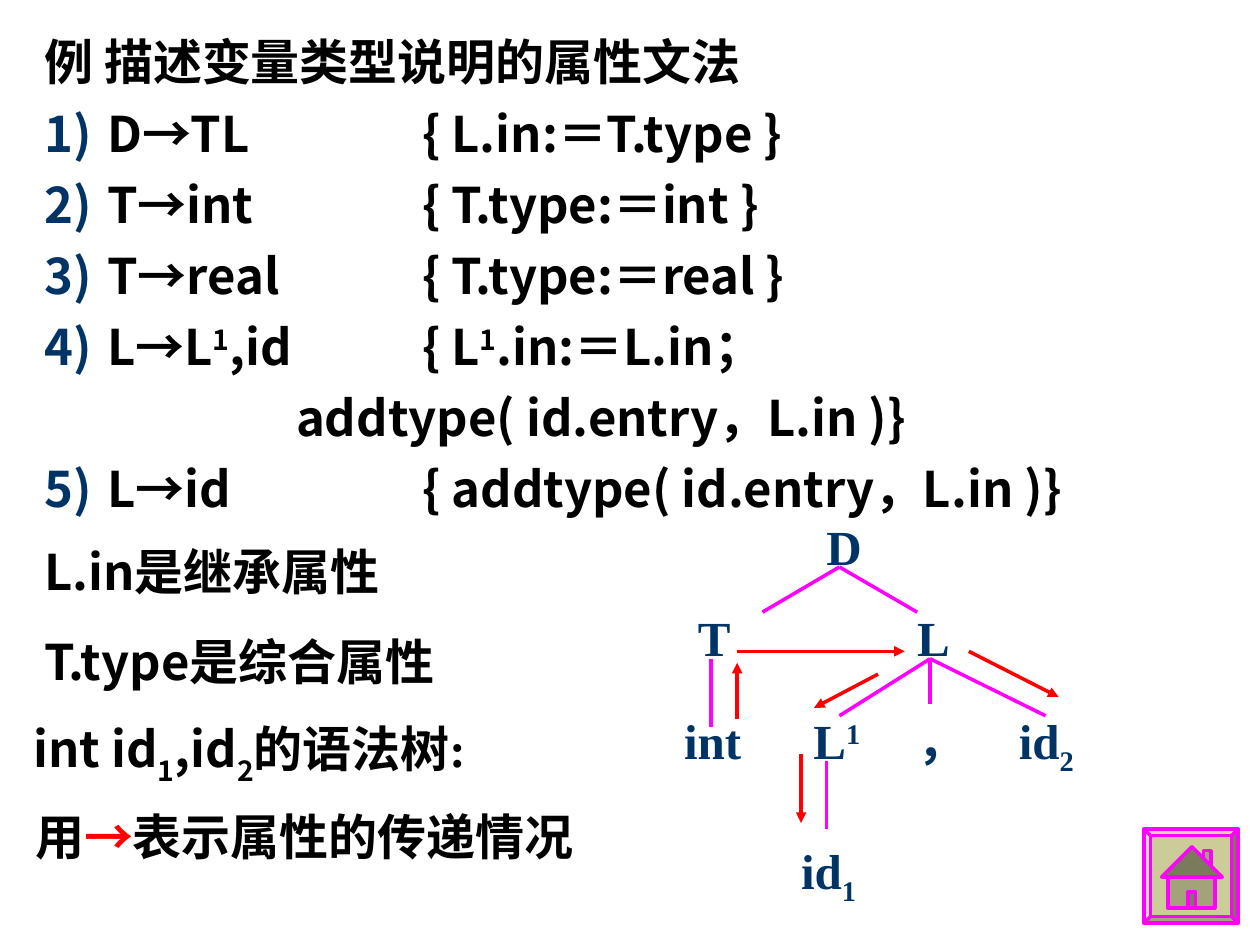
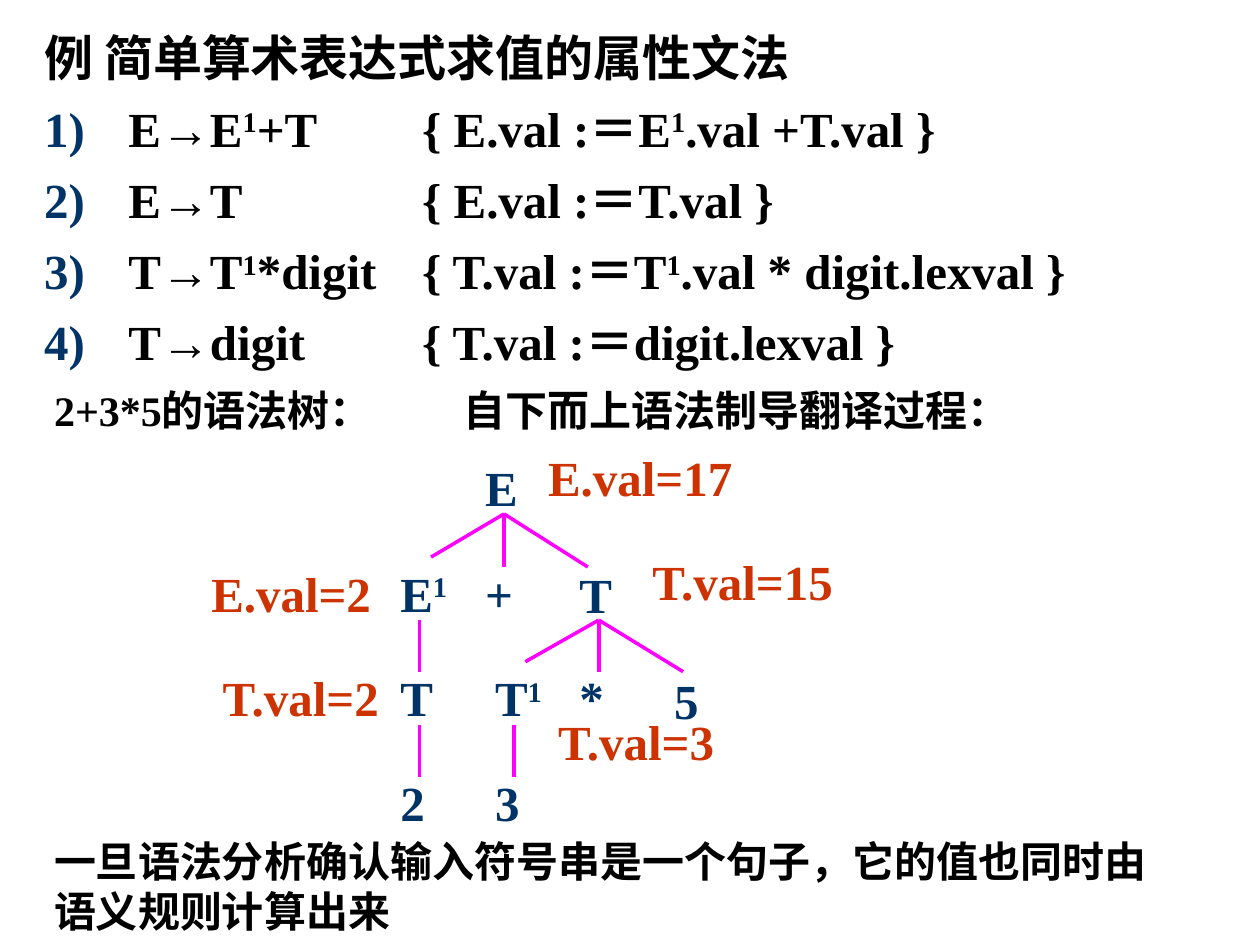
from lxml.etree import SubElement as Sub
from pptx import Presentation as Deck
from pptx.dml.color import RGBColor as RGB
from pptx.enum.shapes import MSO_CONNECTOR as Link, MSO_SHAPE as Kind
from pptx.enum.text import PP_ALIGN as Align
from pptx.oxml.ns import qn
from pptx.util import Cm, Pt

HUE = {"ink": "000000", "navy": "003366", "pink": "FF00FF", "red": "FF0000",
       "rust": "CC3300", "sand": "CCCC99", "shade": "A3A37A", "roof": "7A7A5C"}
SERIF, SANS = "Times New Roman", "Noto Sans CJK SC"
MARK = {"^": {"base": 30000}, "_": {"base": -25000}, "%": {"base": -30000},
        "!": {"hue": "red"}, "~": {"face": SERIF}}


class Pen:
    """Draws styled text, rules, trees and shapes on the current slide."""

    def __init__(self):
        self.deck = Deck()
        self.deck.slide_width, self.deck.slide_height = Cm(25.4), Cm(19.05)

    def page(self):
        self.shapes = self.deck.slides.add_slide(self.deck.slide_layouts[6]).shapes

    def frame(self, left, top, wide, high):
        box = self.shapes.add_textbox(Cm(left), Cm(top), Cm(wide), Cm(high))
        box.text_frame.word_wrap = True
        return box.text_frame

    def runs(self, para, text, size, hue, face):
        for part in text.split("|"):
            mark = MARK.get(part[0], {})
            run = para.add_run()
            run.text = part[1:] if mark else part
            form = {"size": Pt(size), "bold": True, "name": mark.get("face", face)}
            for key, val in form.items():
                setattr(run.font, key, val)
            run.font.color.rgb = RGB.from_string(HUE[mark.get("hue", hue)])
            props = run._r.get_or_add_rPr()
            Sub(props, qn("a:ea"), typeface=SANS)
            if "base" in mark:
                props.set("baseline", str(mark["base"]))

    def text(self, left, top, wide, high, *lines, size=28, hue="ink", face=SERIF, gap=17.5):
        frame = self.frame(left, top, wide, high)
        for num, line in enumerate(lines):
            para = frame.add_paragraph() if num else frame.paragraphs[0]
            if num:
                para.space_before = Pt(gap)
            self.runs(para, line, size, hue, face)

    def rules(self, top, wide, high, title, rows, hang, face, lead=None):
        frame = self.frame(0.64, top, wide, high)
        head = frame.paragraphs[0]
        head.line_spacing = lead
        self.runs(head, title, 28, "ink", SERIF)
        for start, row in rows:
            para = frame.add_paragraph()
            props = para._p.get_or_add_pPr()
            props.set("marL", str(Cm(hang)))
            props.set("indent", str(-Cm(hang)))
            if start:
                tint = Sub(props, qn("a:buClr"))
                Sub(tint, qn("a:srgbClr"), val=HUE["navy"])
                num = Sub(props, qn("a:buAutoNum"), type="arabicParenR")
                if start > 1:
                    num.set("startAt", str(start))
            tabs = Sub(props, qn("a:tabLst"))
            first = 1 if start else 0
            for step in range(first, first + 8):
                Sub(tabs, qn("a:tab"), pos=str(Cm(2.54 * step)), algn="l")
            for key, val in {"alignment": Align.JUSTIFY, "space_before": Pt(7)}.items():
                setattr(para, key, val)
            self.runs(para, row, 28, "ink", face)

    def nodes(self, items, hue="navy"):
        for left, top, wide, word in items:
            self.text(left, top, wide, 1.45, word, hue=hue)

    def line(self, start, end, hue="pink", tip=False):
        ends = [Cm(val) for val in (*start, *end)]
        link = self.shapes.add_connector(Link.STRAIGHT, *ends)
        link.line.width = Pt(2)
        link.line.color.rgb = RGB.from_string(HUE[hue])
        if tip:
            Sub(link.line._get_or_add_ln(), qn("a:tailEnd"), type="triangle")
        Sub(link._element.spPr, qn("a:effectLst"))

    def fans(self, tree):
        for apex, ends in tree:
            for end in ends:
                self.line(apex, end)

    def shape(self, kind, left, top, wide, high, hue):
        item = self.shapes.add_shape(kind, Cm(left), Cm(top), Cm(wide), Cm(high))
        item.shadow.inherit = False
        item.fill.solid()
        item.fill.fore_color.rgb = RGB.from_string(HUE[hue])
        item.line.color.rgb = RGB.from_string(HUE["pink"])
        item.line.width = Pt(2)
        return item

    def home(self):
        rim = self.shape(Kind.BEVEL, 23.06, 16.71, 1.9, 1.9, "sand")
        rim.adjustments[0] = 0.07
        self.shape(Kind.RECTANGLE, 24.26, 17.15, 0.15, 0.4, "shade")
        self.shape(Kind.ISOSCELES_TRIANGLE, 23.42, 17.07, 1.22, 0.61, "roof")
        self.shape(Kind.RECTANGLE, 23.55, 17.68, 0.94, 0.63, "shade")
        self.shape(Kind.RECTANGLE, 23.95, 17.98, 0.15, 0.33, "roof")


def types(pen):
    """Draws the grammar of variable types."""
    pen.page()
    rows = [(1, "D→TL\t\t{ L.in:＝T.type }"),
            (1, "T→int\t\t{ T.type:＝int }"),
            (1, "T→real\t\t{ T.type:＝real }"),
            (1, "L→L|^1|,id\t\t{ L|^1|.in:＝L.in；"),
            (0, "\t\t\t\taddtype( id.entry，L.in )}"),
            (5, "L→id\t\t{ addtype( id.entry，L.in )}")]
    pen.rules(0.64, 23.93, 9.93, "例 描述变量类型说明的属性文法", rows, 1.27, SANS, 0.9)
    pen.nodes([(16.41, 10.29, 1.3, "D"),
               (13.82, 12.12, 1.3, "T"), (18.24, 12.12, 1.3, "L"),
               (13.54, 14.2, 2.08, "int"), (16.15, 14.2, 1.85, "L|^1"),
               (18.24, 14.2, 1.3, "，"), (20.29, 14.2, 2.34, "id|_2"),
               (15.9, 16.81, 1.83, "id|_1")])
    pen.fans([((16.92, 11.43), [(15.37, 12.34), (18.49, 12.34)]),
              ((14.33, 13.28), [(14.33, 14.66)]),
              ((18.75, 13.28), [(16.92, 14.43), (18.75, 14.2), (21.08, 14.43)]),
              ((16.66, 15.34), [(16.66, 16.71)])])
    for start, end in [((14.86, 14.5), (14.86, 13.36)),
                       ((14.86, 13.13), (18.24, 13.13)),
                       ((17.7, 13.59), (16.41, 14.27)),
                       ((19.53, 13.13), (21.34, 14.05)),
                       ((16.15, 15.19), (16.15, 16.59))]:
        pen.line(start, end, "red", True)
    pen.home()
    pen.text(0.64, 10.8, 12.7, 3.25, "L.in是继承属性", "T.type是综合属性", face=SANS)
    pen.text(0.43, 14.35, 12.7, 1.65, "int id|%1|,id|%2|~的语法树:", face=SANS)
    pen.text(0.46, 16.13, 12.5, 1.45, "用|!→|表示属性的传递情况")


def sums(pen):
    """Draws the grammar of simple sums."""
    pen.page()
    rows = [(1, "E→E|^1|+T\t{ E.val :＝E|^1|.val +T.val }"),
            (1, "E→T\t\t{ E.val :＝T.val }"),
            (1, "T→T|^1|*digit\t{ T.val :＝T|^1|.val * digit.lexval }"),
            (1, "T→digit\t{ T.val :＝digit.lexval }")]
    pen.rules(0.43, 23.72, 7.42, "例 简单算术表达式求值的属性文法", rows, 1.7, SERIF)
    for left, top, wide, high, words in [
            (0.84, 7.62, 8.05, 1.27, "2+3*5的语法树："),
            (9.09, 7.62, 13.34, 1.27, "自下而上语法制导翻译过程："),
            (0.84, 16.71, 22.86, 2.29,
             "一旦语法分析确认输入符号串是一个句子，它的值也同时由语义规则计算出来")]:
        pen.text(left, top, wide, high, words, size=24)
    pen.nodes([(9.53, 9.09, 1.27, "E"),
               (7.82, 11.23, 1.7, "E|^1"), (9.53, 11.23, 1.27, "+"),
               (11.43, 11.25, 1.27, "T"),
               (7.82, 13.34, 1.27, "T"), (9.73, 13.34, 1.7, "T|^1"),
               (11.43, 13.34, 1.27, "*"), (13.34, 13.39, 1.27, "5"),
               (7.82, 15.44, 1.27, "2"), (9.73, 15.44, 1.27, "3")])
    pen.fans([((10.16, 10.36), [(8.69, 11.23), (10.16, 11.43), (11.85, 11.43)]),
              ((12.07, 12.5), [(10.59, 13.34), (12.07, 13.54), (13.77, 13.54)]),
              ((8.46, 12.5), [(8.46, 13.54)]),
              ((8.46, 14.61), [(8.46, 15.67)]),
              ((10.36, 14.61), [(10.36, 15.67)])])
    pen.nodes([(10.8, 8.89, 4.65, "E.val=17"), (4.01, 11.23, 3.81, "E.val=2"),
               (12.9, 11, 4.65, "T.val=15"), (4.24, 13.34, 3.81, "T.val=2"),
               (11, 14.22, 3.81, "T.val=3")], "rust")


def main():
    """Builds and saves both slides."""
    pen = Pen()
    types(pen)
    sums(pen)
    pen.deck.save("out.pptx")


if __name__ == "__main__":
    main()
